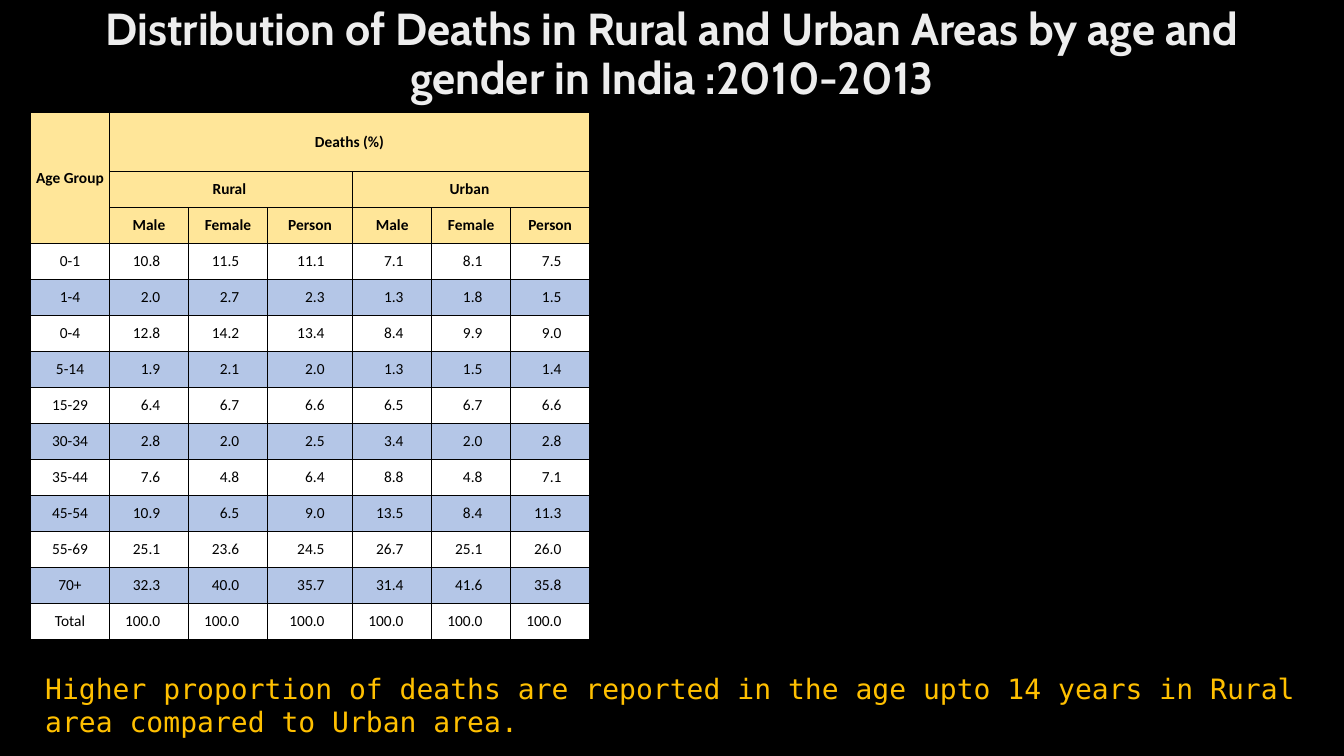
import copy
from dataclasses import dataclass

import pptx
import pptx.dml.color
import pptx.enum.text
import pptx.oxml
import pptx.oxml.ns
import pptx.util

Cm = pptx.util.Cm
Align = pptx.enum.text.PP_ALIGN
Anchor = pptx.enum.text.MSO_ANCHOR
Fit = pptx.enum.text.MSO_AUTO_SIZE


@dataclass(frozen=True)
class Theme:
    back: str = "000000"
    ink: str = "000000"
    head: str = "FFE699"
    plain: str = "FFFFFF"
    band: str = "B4C6E7"
    note: str = "FFC000"
    shine: tuple = ((0, "BFBFBF"), (0.28, "EDEDED"), (1, "FFFFFF"))
    title_size: int = 32
    cell_size: int = 11
    note_size: int = 20
    title_font: str = "Cabin"
    cell_font: str = "Calibri"
    note_font: str = "DejaVu Sans Mono"


THEME = Theme()

TITLE = "Distribution of Deaths in Rural and Urban Areas by age and gender in India :2010-2013"
NOTE = ("Higher proportion of deaths are reported in the age upto 14 years "
        "in Rural area compared to Urban area.")

# Row, column, rows spanned, columns spanned, text
SPANS = [
    (0, 0, 3, 1, "Age Group"),
    (0, 1, 1, 6, "Deaths (%)"),
    (1, 1, 1, 3, "Rural "),
    (1, 4, 1, 3, "Urban "),
]
SEXES = ["Male", "Female", "Person"] * 2
DEATHS = [
    ("0-1", 10.8, 11.5, 11.1, 7.1, 8.1, 7.5),
    ("1-4", 2.0, 2.7, 2.3, 1.3, 1.8, 1.5),
    ("0-4", 12.8, 14.2, 13.4, 8.4, 9.9, 9.0),
    ("5-14", 1.9, 2.1, 2.0, 1.3, 1.5, 1.4),
    ("15-29", 6.4, 6.7, 6.6, 6.5, 6.7, 6.6),
    ("30-34", 2.8, 2.0, 2.5, 3.4, 2.0, 2.8),
    ("35-44", 7.6, 4.8, 6.4, 8.8, 4.8, 7.1),
    ("45-54", 10.9, 6.5, 9.0, 13.5, 8.4, 11.3),
    ("55-69", 25.1, 23.6, 24.5, 26.7, 25.1, 26.0),
    ("70+", 32.3, 40.0, 35.7, 31.4, 41.6, 35.8),
    ("Total", 100.0, 100.0, 100.0, 100.0, 100.0, 100.0),
]
HEADS = 3


def tint(code):
    return pptx.dml.color.RGBColor.from_string(code)


def write(frame, text, font, size, color=None, bold=False, align=Align.LEFT, space=1.0):
    """Put one formatted run in the frame and return it."""
    para = frame.paragraphs[0]
    para.alignment = align
    para.line_spacing = space
    run = para.add_run()
    run.text = text
    run.font.name = font
    run.font.size = pptx.util.Pt(size)
    run.font.bold = bold
    if color:
        run.font.color.rgb = tint(color)
    return run


def shade(run, stops, angle):
    """Fill the letters of a run with a gradient of any number of stops."""
    fill = run.font.fill
    fill.gradient()
    fill.gradient_angle = angle
    group = run._r.xpath(".//a:gsLst")[0]
    while len(group) < len(stops):
        group.append(copy.deepcopy(group[0]))
    for stop, (place, code) in zip(fill.gradient_stops, stops):
        stop.position = place
        stop.color.rgb = tint(code)


def add_title(slide, left, top, width, height):
    title = slide.shapes.title
    title.left, title.top, title.width, title.height = map(Cm, (left, top, width, height))
    frame = title.text_frame
    frame.word_wrap = True
    frame.auto_size = Fit.NONE
    frame.vertical_anchor = Anchor.MIDDLE
    run = write(frame, TITLE, THEME.title_font, THEME.title_size, bold=True,
                align=Align.CENTER, space=0.9)
    shade(run, THEME.shine, 280)


def style(cell, fill):
    """Give a cell thin borders, a fill and tight margins."""
    props = cell._tc.get_or_add_tcPr()
    for side in "LRTB":
        props.append(pptx.oxml.parse_xml(
            f'<a:ln{side} {pptx.oxml.ns.nsdecls("a")} w="6350"><a:solidFill>'
            f'<a:srgbClr val="{THEME.ink}"/></a:solidFill></a:ln{side}>'))
    cell.fill.solid()
    cell.fill.fore_color.rgb = tint(fill)
    cell.vertical_anchor = Anchor.MIDDLE
    cell.margin_left = cell.margin_right = cell.margin_top = cell.margin_bottom = 0


def add_deaths(slide, left, top, width, height):
    rows, cols = HEADS + len(DEATHS), 1 + len(SEXES)
    table = slide.shapes.add_table(rows, cols, *map(Cm, (left, top, width, height))).table
    table.first_row = table.horz_banding = False
    wide, tall = 2.15, 1.49
    for i, col in enumerate(table.columns):
        col.width = Cm(wide if i == 3 else (width - wide) / (cols - 1))
    for i, row in enumerate(table.rows):
        row.height = Cm(tall if i == 0 else (height - tall) / (rows - 1))
        for cell in row.cells:
            style(cell, THEME.head if i < HEADS else (THEME.band, THEME.plain)[i % 2])

    def put(row, col, text, bold=False, align=Align.CENTER):
        write(table.cell(row, col).text_frame, text, THEME.cell_font, THEME.cell_size,
              THEME.ink, bold, align)

    for row, col, down, over, text in SPANS:
        table.cell(row, col).merge(table.cell(row + down - 1, col + over - 1))
        put(row, col, text, bold=True)
    for col, sex in enumerate(SEXES, 1):
        put(HEADS - 1, col, sex, bold=True)
    for row, (age, *rates) in enumerate(DEATHS, HEADS):
        put(row, 0, age)
        for col, rate in enumerate(rates, 1):
            table.cell(row, col).margin_right = Cm(0.71)
            put(row, col, f"{rate:.1f}", align=Align.RIGHT)


def add_note(slide, left, top, width, height):
    frame = slide.shapes.add_textbox(*map(Cm, (left, top, width, height))).text_frame
    frame.word_wrap = True
    frame.auto_size = Fit.SHAPE_TO_FIT_TEXT
    write(frame, NOTE, THEME.note_font, THEME.note_size, THEME.note)


def main():
    deck = pptx.Presentation()
    deck.slide_width, deck.slide_height = Cm(33.87), Cm(19.05)
    slide = deck.slides.add_slide(deck.slide_layouts.get_by_name("Title Only"))
    slide.background.fill.solid()
    slide.background.fill.fore_color.rgb = tint(THEME.back)
    add_title(slide, 2.34, 0, 29.21, 2.79)
    add_deaths(slide, 0.77, 2.83, 14.09, 13.28)
    add_note(slide, 0.89, 16.79, 32.2, 1.96)
    deck.save("out.pptx")


if __name__ == "__main__":
    main()
